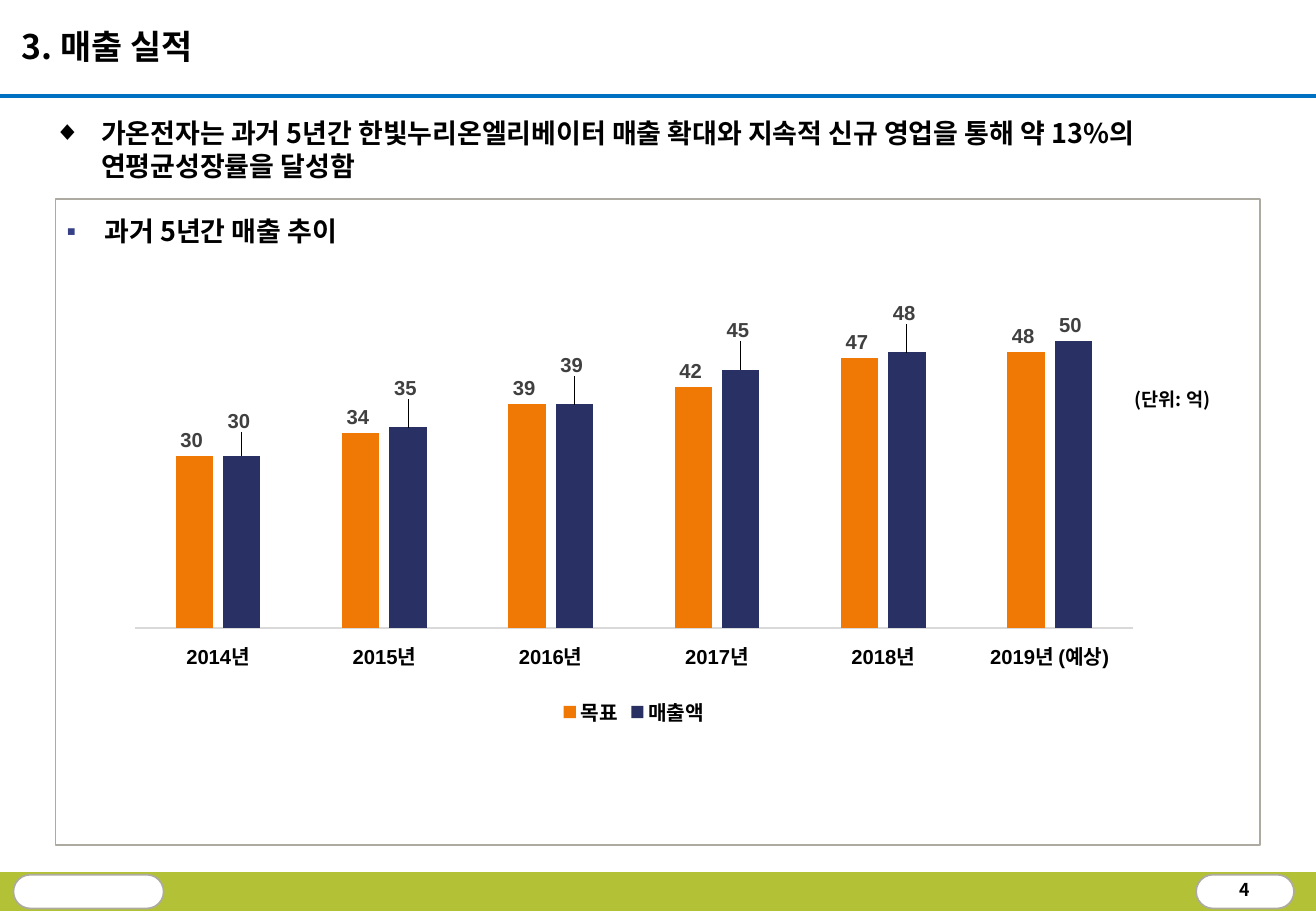
from lxml.etree import SubElement
from pptx import Presentation
from pptx.chart.data import CategoryChartData as ChartData
from pptx.dml.color import RGBColor
from pptx.enum.chart import XL_CHART_TYPE as Kind, XL_LABEL_POSITION as Spot
from pptx.enum.chart import XL_LEGEND_POSITION as Side, XL_TICK_LABEL_POSITION as Tick
from pptx.enum.chart import XL_TICK_MARK as Mark
from pptx.enum.shapes import MSO_CONNECTOR as Link, MSO_SHAPE as Form
from pptx.enum.text import MSO_ANCHOR as Anchor, PP_ALIGN as Align
from pptx.oxml import parse_xml
from pptx.oxml.ns import nsdecls, qn
from pptx.util import Pt

WIDE, HIGH = 780, 540
FONT = "Noto Sans CJK KR"
BLACK, WHITE, GREY = "000000", "FFFFFF", "ADABA1"
GREEN, BLUE, ORANGE, NAVY = "B3C137", "0070C0", "EF7904", "293064"
YEARS = ["2014년", "2015년", "2016년", "2017년", "2018년", "2019년 (예상)"]
SALES = {
    "목표": (ORANGE, [30, 34, 39, 42, 47, 48]),
    "매출액": (NAVY, [30, 35, 39, 45, 48, 50]),
}
LIFTS = [-0.04, -0.05, -0.05, -0.05, -0.05]


def color(text):
    return RGBColor.from_string(text)


def paint(form, fill):
    form.fill.solid()
    form.fill.fore_color.rgb = color(fill)


def style(font, size, name, tint=BLACK):
    font.size, font.bold, font.name = Pt(size), True, name
    font.color.rgb = color(tint)


def place(shape, box):
    shape.left, shape.top, shape.width, shape.height = map(Pt, box)


def write(shape, text, size, wrap=False, align=Align.LEFT, anchor=Anchor.TOP):
    frame = shape.text_frame
    frame.margin_left = frame.margin_right = 0
    frame.margin_top = frame.margin_bottom = 0
    frame.word_wrap, frame.vertical_anchor = wrap, anchor
    para = frame.paragraphs[0]
    para.alignment, para.line_spacing = align, Pt(size * 1.22)
    run = para.add_run()
    run.text = text
    style(run.font, size, FONT)
    SubElement(run.font._element, qn("a:ea"), typeface=FONT)
    return para


def label(slide, box, text, size, **look):
    return write(slide.shapes.add_textbox(*map(Pt, box)), text, size, **look)


def bullet(para, sign, tint, indent):
    props = para._p.get_or_add_pPr()
    props.set("marL", str(Pt(indent)))
    props.set("indent", str(-Pt(indent)))
    tone = SubElement(props, qn("a:buClr"))
    SubElement(tone, qn("a:srgbClr"), val=tint)
    SubElement(props, qn("a:buFont"), typeface="Arial")
    SubElement(props, qn("a:buChar"), char=sign)


def panel(slide, form, box, fill, edge=None):
    shape = slide.shapes.add_shape(form, *map(Pt, box))
    shape.shadow.inherit = False
    paint(shape, fill)
    if edge:
        shape.line.color.rgb = color(edge)
        shape.line.width = Pt(1)
    else:
        shape.line.fill.background()
    return shape


def header(slide, box, text):
    left, top, width, height = box
    title = slide.shapes.title
    place(title, (left + 13, top + 15, 112, 25))
    write(title, text, 20)
    base = Pt(top + height)
    rule = slide.shapes.add_connector(Link.STRAIGHT, Pt(left), base, Pt(left + width), base)
    rule.line.color.rgb = color(BLUE)
    rule.line.width = Pt(2.25)
    SubElement(rule._element.spPr, qn("a:effectLst"))


def footer(slide, box, number):
    left, top, width, height = box
    panel(slide, Form.RECTANGLE, box, GREEN)
    for start, size in ((left + 8, 89), (left + width - 71, 58)):
        pill = panel(slide, Form.ROUNDED_RECTANGLE, (start, top + 1.5, size, 20), WHITE, GREY)
        pill.adjustments[0] = 0.5
    label(slide, (left + width - 53, top + 5.5, 22, 11), number, 10.5,
          align=Align.CENTER, anchor=Anchor.BOTTOM)


def layout(parent, index, **parts):
    """Put a manual layout into a chart part, given as fractions."""
    rows = "".join(f'<c:{key} val="{val}"/>' for key, val in parts.items())
    for old in parent.findall(qn("c:layout")):
        parent.remove(old)
    parent.insert(index, parse_xml(
        f'<c:layout {nsdecls("c")}><c:manualLayout>{rows}</c:manualLayout></c:layout>'))


def bars(slide, box):
    data = ChartData(number_format="0_ ")
    data.categories = YEARS
    for name, (_, vals) in SALES.items():
        data.add_series(name, vals)
    chart = slide.shapes.add_chart(Kind.COLUMN_CLUSTERED, *map(Pt, box), data).chart
    chart.has_title = False
    chart.font.size, chart.font.name = Pt(10), "Arial"
    chart.has_legend = True
    chart.legend.position = Side.BOTTOM
    chart.legend.include_in_layout = False
    style(chart.legend.font, 12, "Arial")

    axis = chart.category_axis
    axis.major_tick_mark = Mark.NONE
    axis.tick_label_position = Tick.LOW
    style(axis.tick_labels.font, 12, "Arial")
    axis.format.line.color.rgb = color("D9D9D9")
    axis.format.line.width = Pt(0.75)
    scale = chart.value_axis
    scale.minimum_scale, scale.maximum_scale = 0, 60
    scale.has_major_gridlines = scale.visible = False

    plot = chart.plots[0]
    plot.gap_width, plot.overlap, plot.vary_by_categories = 219, -27, False
    for series in plot.series:
        paint(series.format, SALES[series.name][0])
        series.invert_if_negative = False
        tags = series.data_labels
        tags.show_value, tags.position = True, Spot.OUTSIDE_END
        tags.number_format, tags.number_format_is_linked = "0_ ", False
        style(tags.font, 12, "Arial", "404040")
    for spot, lift in enumerate(LIFTS):
        tag = plot.series[1].points[spot].data_label
        style(tag.font, 12, "Arial", "404040")
        tag.position = Spot.OUTSIDE_END
        layout(tag._get_or_add_dLbl(), 1, x=0, y=lift)
    layout(chart._chartSpace.chart.plotArea, 0, layoutTarget="inner",
           xMode="edge", yMode="edge", x=0.018, y=0.033, w=0.964, h=0.743)


def trend(slide, box):
    left, top, _, _ = box
    panel(slide, Form.RECTANGLE, box, WHITE, GREY)
    head = label(slide, (left + 6.5, top + 9, 179, 19), "과거 5년간 매출 추이", 16)
    bullet(head, "▪", "364086", 22.5)
    bars(slide, (left + 36, top + 41, 613.5, 275))
    label(slide, (left + 639.5, top + 111.5, 48, 27), "(단위: 억)", 11, wrap=True)


def main():
    deck = Presentation()
    deck.slide_width, deck.slide_height = Pt(WIDE), Pt(HIGH)
    slide = deck.slides.add_slide(deck.slide_layouts[5])
    footer(slide, (0, 517, WIDE, 23), "4")
    header(slide, (0, 0, WIDE, 57), "3. 매출 실적")
    claim = label(slide, (32, 68.5, 717, 39),
                  "가온전자는 과거 5년간 한빛누리온엘리베이터 매출 확대와 지속적 신규 영업을 "
                  "통해 약 13%의 연평균성장률을 달성함", 16, wrap=True)
    bullet(claim, "◆", BLACK, 28)
    trend(slide, (33, 118, 714, 383))
    deck.save("out.pptx")


if __name__ == "__main__":
    main()
